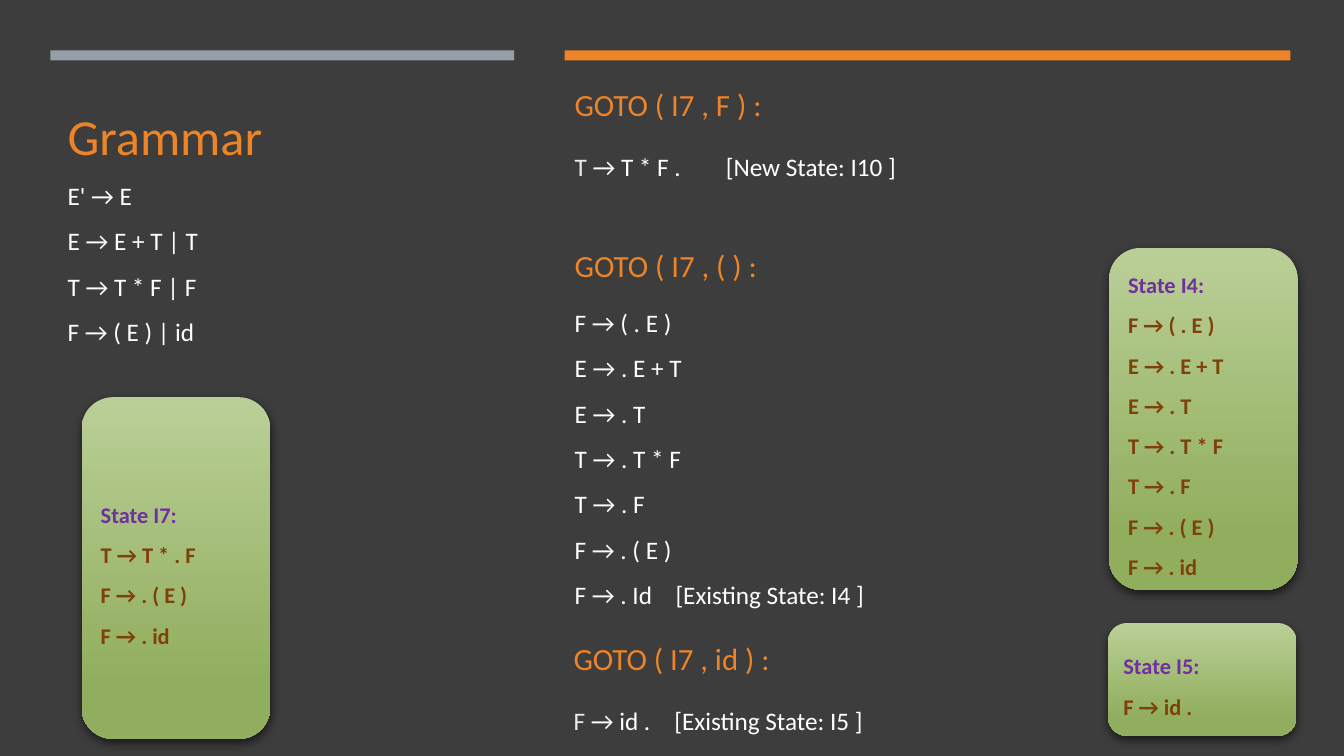
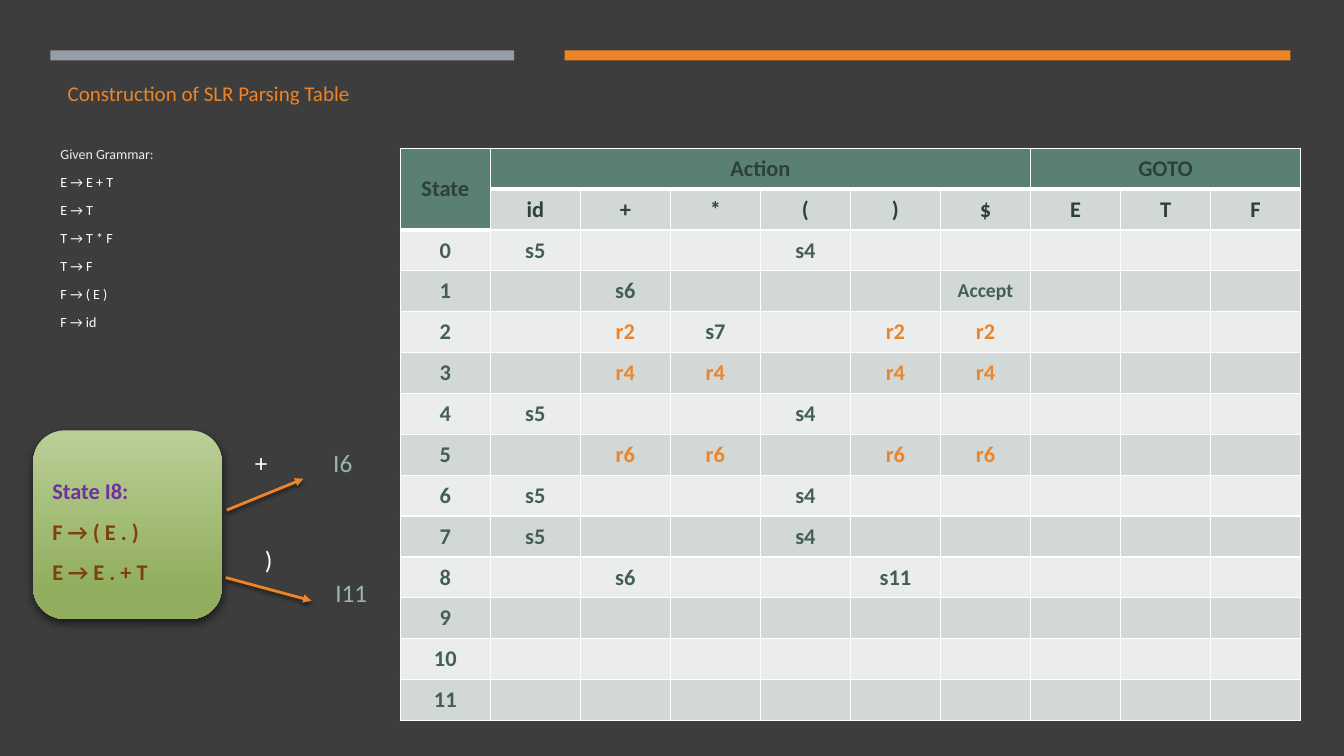
from dataclasses import dataclass

from lxml.etree import SubElement
from pptx import Presentation
from pptx.dml.color import RGBColor
from pptx.enum.shapes import MSO_CONNECTOR, MSO_SHAPE
from pptx.enum.text import MSO_ANCHOR, MSO_AUTO_SIZE, PP_ALIGN
from pptx.oxml.ns import qn
from pptx.util import Emu, Pt

EMU_PER_PX = 9144


@dataclass(frozen=True)
class Theme:
    font: str = "Calibri"
    background: str = "3D3D3D"
    gray_bar: str = "969FA7"
    accent: str = "ED8428"
    white: str = "FFFFFF"
    soft_white: str = "EBEBEB"
    state_heading: str = "7030A0"
    state_rule: str = "7F410A"
    state_top: str = "BACF97"
    state_bottom: str = "91AE5E"
    target: str = "98B6AA"
    header_fill: str = "5A8071"
    header_text: str = "2D4039"
    cell_text: str = "446055"
    dark_band: str = "D2D8D5"
    light_band: str = "EAEDEB"
    shadow: str = "000000"
    heading_size: int = 36
    goto_size: int = 22
    text_size: int = 18
    state_size: int = 16
    accept_size: int = 14
    table_title_size: int = 15
    grammar_size: int = 10


THEME = Theme()


@dataclass(frozen=True)
class Box:
    left: int
    top: int
    width: int
    height: int

    def emu(self) -> tuple:
        return tuple(px(n) for n in (self.left, self.top, self.width, self.height))


@dataclass(frozen=True)
class Span:
    text: str
    size: int = THEME.text_size
    color: str = THEME.white
    bold: bool = False


@dataclass(frozen=True)
class Line:
    spans: tuple
    spacing: float = 1.5
    before: float = 0
    after: float = 0
    tab: int = 0
    align: PP_ALIGN = PP_ALIGN.LEFT


@dataclass(frozen=True)
class State:
    box: Box
    name: str
    rules: tuple


@dataclass(frozen=True)
class Goto:
    box: Box
    symbol: str
    head: str
    result: str
    tab: int


@dataclass(frozen=True)
class Transition:
    start: tuple
    end: tuple
    symbol: str
    symbol_box: Box
    target: str
    target_box: Box


BARS = ((Box(50, 50, 460, 10), THEME.gray_bar), (Box(560, 50, 720, 10), THEME.accent))

GRAMMAR = ("E' → E", "E → E + T | T", "T → T * F | F", "F → ( E ) | id")
CLOSURE = ("F → ( . E )", "E → . E + T", "E → . T", "T → . T * F", "T → . F", "F → . ( E )")
GOTOS = (
    Goto(Box(560, 60, 551, 127), "F", "T ", "→ T * F .\t[New State: I10 ]", 167),
    Goto(Box(559, 609, 447, 128), "id", "F ", "→ id .\t[Existing State: I5 ]", 139),
)
GOTO_STATES = (
    State(Box(1099, 618, 187, 112), "I5", ("F → id .",)),
    State(Box(81, 394, 187, 339), "I7", ("T → T * . F", "F → . ( E )", "F → . id")),
    State(Box(1100, 246, 187, 339), "I4", CLOSURE + ("F → . id",)),
)

NUMBERED_RULES = ("E → E + T", "E → T", "T → T * F", "T → F", "F → ( E )", "F → id")
STATE_EIGHT = State(Box(33, 427, 187, 187), "I8", ("F → ( E . )", "E → E . + T"))
TRANSITIONS = (
    Transition((225, 506), (301, 475), "+", Box(243, 439, 41, 40), "I6", Box(310, 439, 60, 40)),
    Transition((224, 573), (309, 596), ")", Box(253, 535, 57, 40), "I11", Box(310, 568, 77, 40)),
)
SYMBOLS = "id + * ( ) $ E T F".split()
ACTIONS = (
    "s5 - - s4 - -",
    "- s6 - - - Accept",
    "- r2 s7 - r2 r2",
    "- r4 r4 - r4 r4",
    "s5 - - s4 - -",
    "- r6 r6 - r6 r6",
    "s5 - - s4 - -",
    "s5 - - s4 - -",
    "- s6 - - s11 -",
    "", "", "",
)


def px(length: int) -> Emu:
    return Emu(length * EMU_PER_PX)


def rgb(color: str) -> RGBColor:
    return RGBColor.from_string(color)


def write(frame, lines, anchor=MSO_ANCHOR.MIDDLE) -> None:
    frame.word_wrap = True
    frame.auto_size = MSO_AUTO_SIZE.NONE
    frame.vertical_anchor = anchor
    for index, line in enumerate(lines):
        paragraph = frame.paragraphs[0] if index == 0 else frame.add_paragraph()
        paragraph.alignment = line.align
        paragraph.line_spacing = line.spacing
        paragraph.space_before = Pt(line.before)
        paragraph.space_after = Pt(line.after)
        properties = paragraph._p.get_or_add_pPr()
        properties.set("marL", "0")
        properties.set("indent", "0")
        SubElement(properties, qn("a:buNone"))
        if line.tab:
            tabs = SubElement(properties, qn("a:tabLst"))
            SubElement(tabs, qn("a:tab"), pos=str(px(line.tab)), algn="l")
        for span in line.spans:
            run = paragraph.add_run()
            run.text = span.text
            run.font.name = THEME.font
            run.font.size = Pt(span.size)
            run.font.bold = span.bold
            run.font.color.rgb = rgb(span.color)


def place(shape, box: Box) -> None:
    shape.left, shape.top, shape.width, shape.height = box.emu()


def add_text(slide, box: Box, lines, anchor=MSO_ANCHOR.MIDDLE) -> None:
    write(slide.shapes.add_textbox(*box.emu()).text_frame, lines, anchor)


def add_shadow(properties, alpha: int, blur: int, distance: int, angle: int) -> None:
    effects = properties.find(qn("a:effectLst"))
    if effects is None:
        effects = SubElement(properties, qn("a:effectLst"))
    outer = SubElement(effects, qn("a:outerShdw"), blurRad=str(Pt(blur)), dist=str(Pt(distance)),
                       dir=str(angle * 60000), algn="ctr", rotWithShape="0")
    color = SubElement(outer, qn("a:srgbClr"), val=THEME.shadow)
    SubElement(color, qn("a:alpha"), val=str(alpha * 1000))


def add_slide(presentation, title_box: Box, title_lines, body_box: Box, body_lines):
    slide = presentation.slides.add_slide(presentation.slide_layouts[1])
    title, body = slide.shapes.title, slide.placeholders[1]
    for shape, box, lines in ((title, title_box, title_lines), (body, body_box, body_lines)):
        place(shape, box)
        write(shape.text_frame, lines)
    for box, color in BARS:
        bar = slide.shapes.add_shape(MSO_SHAPE.RECTANGLE, *box.emu())
        bar.shadow.inherit = False
        bar.fill.solid()
        bar.fill.fore_color.rgb = rgb(color)
        bar.line.fill.background()
    return slide


def add_state(slide, state: State) -> None:
    shape = slide.shapes.add_shape(MSO_SHAPE.ROUNDED_RECTANGLE, *state.box.emu())
    shape.fill.gradient()
    shape.fill.gradient_angle = 270
    stops = ((0, THEME.state_top), (0.84, THEME.state_bottom))
    for stop, (position, color) in zip(shape.fill.gradient_stops, stops):
        stop.position = position
        stop.color.rgb = rgb(color)
    shape.line.fill.background()
    shape.shadow.inherit = False
    add_shadow(shape.element.spPr, 60, 7, 3, 84)
    heading = Span(f"State {state.name}:", THEME.state_size, THEME.state_heading, True)
    rules = [Span(rule, THEME.state_size, THEME.state_rule, True) for rule in state.rules]
    write(shape.text_frame, [Line((span,)) for span in (heading, *rules)])


def goto_heading(symbol: str) -> Line:
    return Line((Span(f"GOTO ( I7 , {symbol} ) :", THEME.goto_size, THEME.accent),), after=6)


def add_goto(slide, goto: Goto) -> None:
    spans = (Span(goto.head, color=THEME.soft_white), Span(goto.result))
    rule = Line(spans, before=3.6, after=6, tab=goto.tab)
    add_text(slide, goto.box, [goto_heading(goto.symbol), rule])


def add_transition(slide, transition: Transition) -> None:
    points = (px(n) for n in transition.start + transition.end)
    arrow = slide.shapes.add_connector(MSO_CONNECTOR.STRAIGHT, *points)
    arrow.line.color.rgb = rgb(THEME.accent)
    arrow.line.width = Pt(2)
    SubElement(arrow.line._get_or_add_ln(), qn("a:tailEnd"), type="triangle")
    add_shadow(arrow.element.spPr, 55, 3, 2, 90)
    add_text(slide, transition.symbol_box,
             [Line((Span(transition.symbol),), spacing=1.0)], MSO_ANCHOR.TOP)
    target = Span(transition.target, color=THEME.target)
    add_text(slide, transition.target_box,
             [Line((target,), spacing=1.0, align=PP_ALIGN.CENTER)], MSO_ANCHOR.TOP)


def format_cell(cell, text: str, row: int, column: int) -> None:
    header_rows = 2 if column == 0 else 1
    is_header = row < header_rows
    widths = {"L": 1, "R": 1, "T": 3 if row == header_rows else 1, "B": 3 if is_header else 1}
    properties = cell._tc.get_or_add_tcPr()
    for side, width in widths.items():
        border = SubElement(properties, qn(f"a:ln{side}"), w=str(Pt(width)))
        fill = SubElement(border, qn("a:solidFill"))
        SubElement(fill, qn("a:srgbClr"), val=THEME.white)
    band = THEME.dark_band if row % 2 else THEME.light_band
    cell.fill.solid()
    cell.fill.fore_color.rgb = rgb(THEME.header_fill if is_header else band)
    cell.vertical_anchor = MSO_ANCHOR.MIDDLE
    if not text:
        return
    color = THEME.header_text if row < 2 else THEME.cell_text
    if row > 1 and text.startswith("r"):
        color = THEME.accent
    paragraph = cell.text_frame.paragraphs[0]
    paragraph.alignment = PP_ALIGN.CENTER
    run = paragraph.add_run()
    run.text = text
    run.font.name = THEME.font
    run.font.size = Pt(THEME.accept_size if text == "Accept" else THEME.state_size)
    run.font.bold = True
    run.font.color.rgb = rgb(color)


def add_parsing_table(slide, box: Box) -> None:
    column_count = len(SYMBOLS) + 1
    rows = [["State", "Action", *[""] * 5, "GOTO"], ["", *SYMBOLS]]
    for state, actions in enumerate(ACTIONS):
        rows.append([str(state), *("" if a == "-" else a for a in actions.split())])
    table = slide.shapes.add_table(len(rows), column_count, *box.emu()).table
    table.first_row = False
    table.horz_banding = False
    for row, texts in enumerate(rows):
        padded = texts + [""] * (column_count - len(texts))
        for column, text in enumerate(padded):
            format_cell(table.cell(row, column), text, row, column)
    for first, last in (((0, 0), (1, 0)), ((0, 1), (0, 6)), ((0, 7), (0, 9))):
        table.cell(*first).merge(table.cell(*last))


def build_goto_slide(presentation) -> None:
    title = [Line((Span("Grammar", THEME.heading_size, THEME.accent),))]
    title += [Line((Span(rule),)) for rule in GRAMMAR]
    body = [goto_heading("("), *(Line((Span(rule),)) for rule in CLOSURE)]
    body.append(Line((Span("F → . Id\t[Existing State: I4 ]"),), tab=150))
    slide = add_slide(presentation, Box(57, 60, 444, 298), title, Box(560, 213, 494, 405), body)
    for goto in GOTOS:
        add_goto(slide, goto)
    for state in GOTO_STATES:
        add_state(slide, state)


def build_table_slide(presentation) -> None:
    heading = Span("Construction of SLR Parsing Table", THEME.table_title_size, THEME.accent)
    given = Span("Given Grammar:", THEME.grammar_size, THEME.soft_white)
    body = [Line((given,), spacing=1.0, after=6)]
    body += [Line((Span(rule, THEME.grammar_size),), spacing=1.0, before=2, after=6)
             for rule in NUMBERED_RULES]
    slide = add_slide(presentation, Box(57, 69, 351, 47), [Line((heading,), spacing=1.0)],
                      Box(50, 131, 206, 210), body)
    add_parsing_table(slide, Box(397, 147, 893, 568))
    add_state(slide, STATE_EIGHT)
    for transition in TRANSITIONS:
        add_transition(slide, transition)


def main() -> None:
    presentation = Presentation()
    presentation.slide_width, presentation.slide_height = px(1333), px(750)
    background = presentation.slide_master.background.fill
    background.solid()
    background.fore_color.rgb = rgb(THEME.background)
    build_goto_slide(presentation)
    build_table_slide(presentation)
    presentation.save("out.pptx")


if __name__ == "__main__":
    main()
